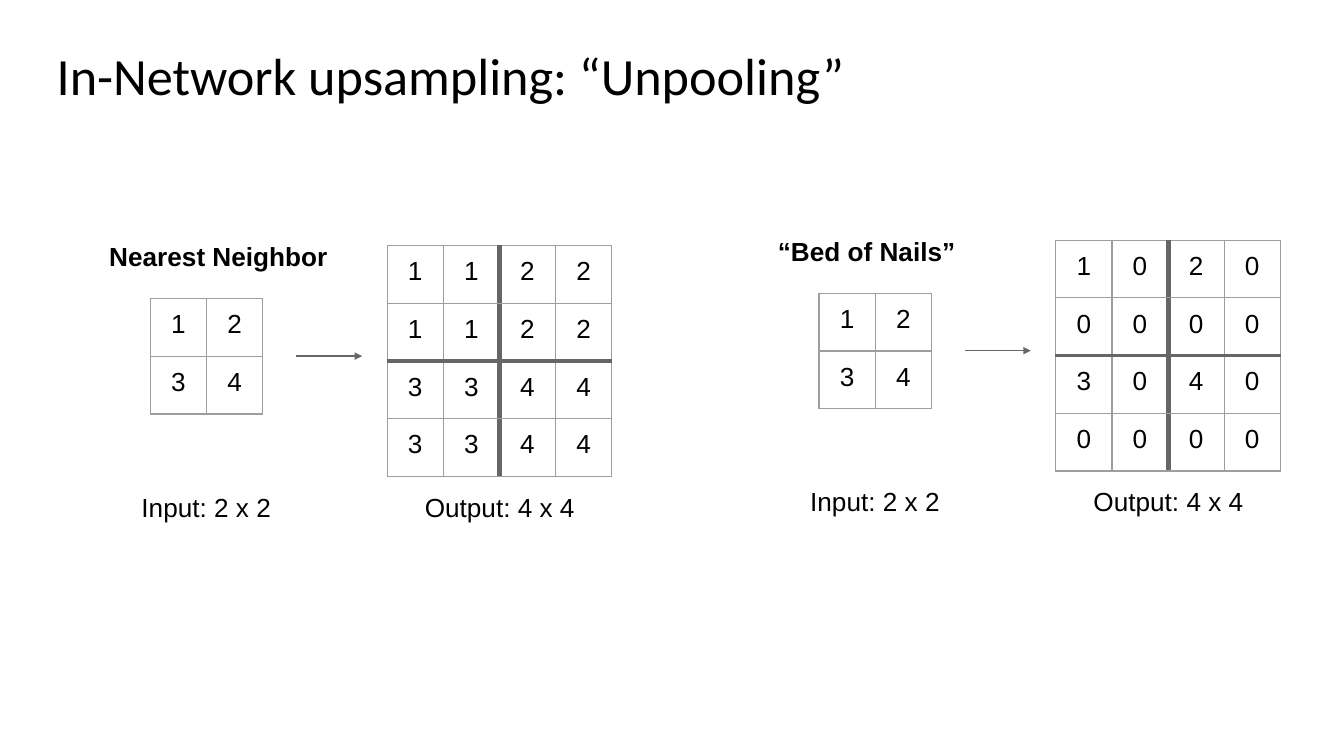
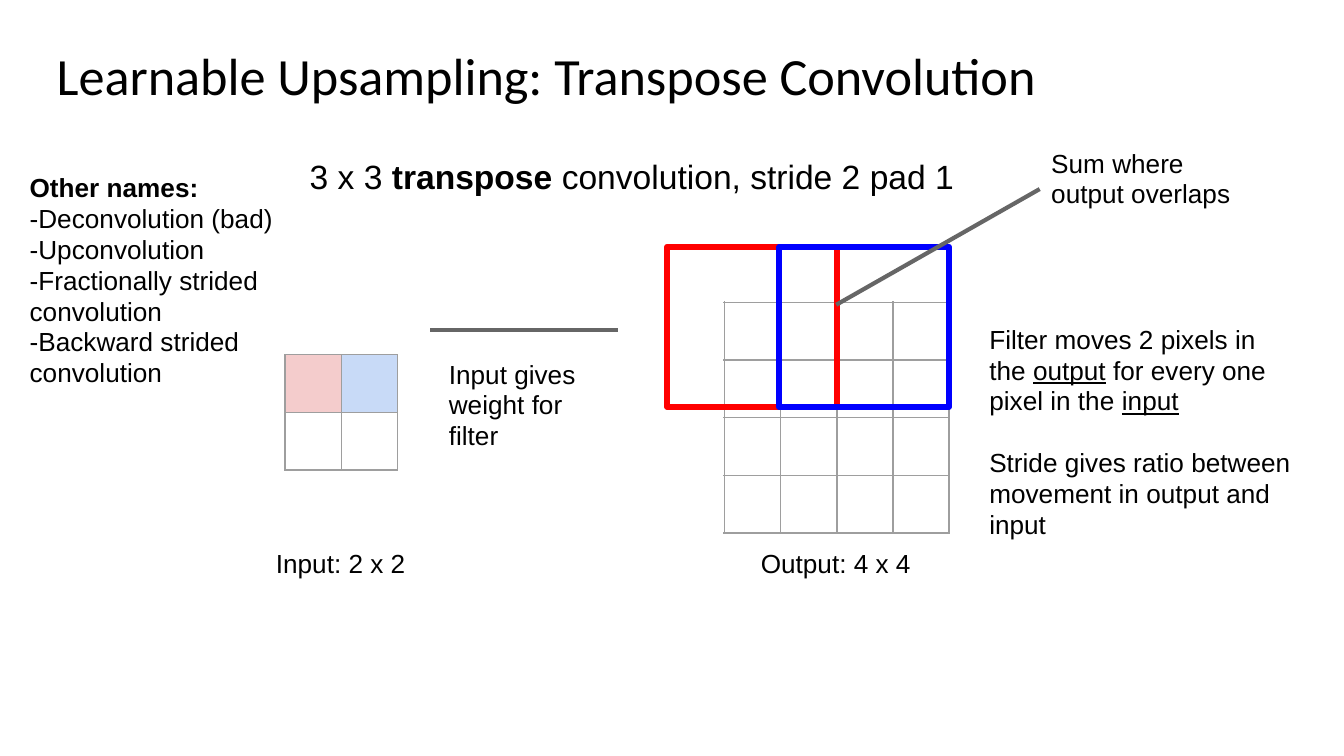
import dataclasses

import pptx
import pptx.dml.color
import pptx.enum.shapes
import pptx.enum.text
import pptx.oxml
import pptx.oxml.ns
import pptx.util

Pt = pptx.util.Pt


@dataclasses.dataclass(frozen=True)
class Theme:
    ink: str = "000000"
    grid: str = "9E9E9E"
    strong: str = "666666"
    pink: str = "F4CCCC"
    sky: str = "C8DAF7"
    red: str = "FF0000"
    blue: str = "0000FF"
    title_font: str = "Calibri"
    body_font: str = "Arial"
    title_size: float = 28
    lead_size: float = 18
    body_size: float = 14
    note_leading: float = 16.5
    thin: float = 0.75
    medium: float = 2.25
    thick: float = 3


THEME = Theme()
CELL_WIDTH, CELL_HEIGHT = 30.1, 30.9
CELL_TOP_MARGIN = 6.2
INPUT_LABEL = [["Input: 2 x 2"]]
OUTPUT_LABEL = [["Output: 4 x 4"]]

UNPOOLING_TITLE = "In-Network upsampling: “Unpooling”"
UNPOOLING_INPUT = [["1", "2"], ["3", "4"]]
UNPOOLING_PANELS = [
    {
        "name": "Nearest Neighbor",
        "shift": (0, 0),
        "divider": THEME.thick,
        "output": ["1122", "1122", "3344", "3344"],
    },
    {
        "name": "“Bed of Nails”",
        "shift": (358.2, -2.9),
        "divider": THEME.medium,
        "output": ["1020", "0000", "3040", "0000"],
    },
]

TRANSPOSE_TITLE = "Learnable Upsampling: Transpose Convolution"
TRANSPOSE_LEAD = [["3 x 3 ", ("transpose ", "bold"), "convolution, stride 2 pad 1"]]
TRANSPOSE_INPUT = [["", ""], ["", ""]]
TRANSPOSE_FILLS = {(0, 0): THEME.pink, (0, 1): THEME.sky}
OUTPUT_GRID = (388.1, 162)
OUTPUT_CELLS = 4
GRID_OVERHANG = 0.5
STRIDE = 2
WINDOW = (357.3, 132.2, 91, 85.8)
WINDOW_COLORS = [THEME.red, THEME.blue]
POINTERS = [(230.4, 177, 331.2, 177), (557, 101.3, 448, 163.3)]
NOTES = [
    (240.5, 190.1, 69.8, 51.8, 2, [["Input gives\nweight for\nfilter"]]),
    (563.2, 77, 97.9, 35.3, 2, [["Sum where\noutput overlaps"]]),
    (530, 171.4, 149.8, 51.8, 2, [[
        "Filter moves 2 pixels in\nthe ",
        ("output", "underline"),
        " for every one\npixel in the ",
        ("input", "underline"),
    ]]),
    (530, 237.6, 162.7, 51.8, 2, [["Stride gives ratio between\nmovement in output and\ninput"]]),
    (15.9, 91.4, 131.8, 118, 1, [
        [("Other names:", "bold")],
        ["-Deconvolution (bad)"],
        ["-Upconvolution"],
        ["-Fractionally strided\nconvolution"],
        ["-Backward strided\nconvolution"],
    ]),
]


def rgb(color):
    return pptx.dml.color.RGBColor.from_string(color)


def add_runs(para, runs, size, font):
    for run in runs:
        text, style = (run, None) if isinstance(run, str) else run
        for index, part in enumerate(text.split("\n")):
            if index:
                para.add_line_break()
            if not part:
                continue
            span = para.add_run()
            span.text = part
            span.font.size = Pt(size)
            span.font.name = font
            span.font.color.rgb = rgb(THEME.ink)
            if style:
                setattr(span.font, style, True)


def add_text(page, left, top, width, height, paragraphs, size=THEME.body_size,
             font=THEME.body_font, inset=1, leading=None, middle=False):
    box = page.shapes.add_textbox(Pt(left), Pt(top), Pt(width), Pt(height))
    frame = box.text_frame
    frame.word_wrap = False
    frame.margin_left = frame.margin_right = frame.margin_bottom = 0
    frame.margin_top = Pt(inset)
    anchors = pptx.enum.text.MSO_ANCHOR
    frame.vertical_anchor = anchors.MIDDLE if middle else anchors.TOP
    for index, runs in enumerate(paragraphs):
        para = frame.add_paragraph() if index else frame.paragraphs[0]
        para.alignment = pptx.enum.text.PP_ALIGN.LEFT
        if leading:
            para.line_spacing = Pt(leading)
        add_runs(para, runs, size, font)


def add_line(page, x1, y1, x2, y2, color, weight, arrow=False):
    line = page.shapes.add_connector(
        pptx.enum.shapes.MSO_CONNECTOR.STRAIGHT, Pt(x1), Pt(y1), Pt(x2), Pt(y2))
    line.line.color.rgb = rgb(color)
    line.line.width = Pt(weight)
    properties = line._element.spPr
    if arrow:
        outline = properties.find(pptx.oxml.ns.qn("a:ln"))
        outline.append(pptx.oxml.parse_xml(
            f'<a:tailEnd {pptx.oxml.ns.nsdecls("a")} type="triangle" w="sm" len="sm"/>'))
    properties.append(pptx.oxml.parse_xml(f'<a:effectLst {pptx.oxml.ns.nsdecls("a")}/>'))


def add_border(cell, side, color, weight):
    cell._tc.get_or_add_tcPr().append(pptx.oxml.parse_xml(
        f'<a:ln{side} {pptx.oxml.ns.nsdecls("a")} w="{Pt(weight)}">'
        f'<a:solidFill><a:srgbClr val="{color}"/></a:solidFill></a:ln{side}>'))


def add_grid_table(page, left, top, values, fills=None, divider=None):
    rows, columns = len(values), len(values[0])
    table = page.shapes.add_table(
        rows, columns, Pt(left), Pt(top),
        Pt(columns * CELL_WIDTH), Pt(rows * CELL_HEIGHT)).table
    table.first_row = table.horz_banding = False
    for column in table.columns:
        column.width = Pt(CELL_WIDTH)
    for row in table.rows:
        row.height = Pt(CELL_HEIGHT)
    for r, line in enumerate(values):
        for c, value in enumerate(line):
            cell = table.cell(r, c)
            cell.margin_left = cell.margin_right = cell.margin_bottom = 0
            cell.margin_top = Pt(CELL_TOP_MARGIN)
            edges = {"L": (c, columns, THEME.thick), "R": (c + 1, columns, THEME.thick),
                     "T": (r, rows, divider), "B": (r + 1, rows, divider)}
            for side, (position, count, weight) in edges.items():
                strong = divider and position * 2 == count
                add_border(cell, side, THEME.strong if strong else THEME.grid,
                           weight if strong else THEME.thin)
            fill = (fills or {}).get((r, c))
            if fill:
                cell.fill.solid()
                cell.fill.fore_color.rgb = rgb(fill)
            else:
                cell.fill.background()
            para = cell.text_frame.paragraphs[0]
            para.alignment = pptx.enum.text.PP_ALIGN.CENTER
            add_runs(para, [value], THEME.body_size, THEME.body_font)


def add_page(deck, title, width):
    page = deck.slides.add_slide(deck.slide_layouts[6])
    add_text(page, 30.4, 21.6, width, 35.3, [[title]], THEME.title_size,
             THEME.title_font, middle=True)
    return page


def add_size_labels(page, input_left, output_left, top):
    add_text(page, input_left, top, 71.3, 18.7, INPUT_LABEL)
    add_text(page, output_left, top, 82.1, 18.7, OUTPUT_LABEL)


def build_unpooling(deck):
    page = add_page(deck, UNPOOLING_TITLE, 447.8)
    for panel in UNPOOLING_PANELS:
        dx, dy = panel["shift"]
        add_text(page, 58.5 + dx, 127.8 + dy, 118.8, 18.7, [[(panel["name"], "bold")]])
        add_grid_table(page, 80.6 + dx, 160 + dy, UNPOOLING_INPUT)
        add_line(page, 158.8 + dx, 190.8 + dy, 194 + dx, 190.8 + dy,
                 THEME.strong, THEME.thin, arrow=True)
        add_grid_table(page, 207.4 + dx, 131.6 + dy, panel["output"], divider=panel["divider"])
        add_size_labels(page, 75.8 + dx, 227.6 + dx, 262.1 + dy)


def build_transpose(deck):
    page = add_page(deck, TRANSPOSE_TITLE, 583.9)
    add_grid_table(page, 152.7, 190, TRANSPOSE_INPUT, fills=TRANSPOSE_FILLS)
    add_size_labels(page, 147.8, 407.6, 292.3)

    left, top = OUTPUT_GRID
    right, bottom = left + OUTPUT_CELLS * CELL_WIDTH, top + OUTPUT_CELLS * CELL_HEIGHT
    for index in range(OUTPUT_CELLS + 1):
        x = left + index * CELL_WIDTH
        add_line(page, x, top - GRID_OVERHANG, x, bottom + GRID_OVERHANG,
                 THEME.grid, THEME.thin)
    for index in range(OUTPUT_CELLS + 1):
        y = top + index * CELL_HEIGHT
        add_line(page, left - GRID_OVERHANG, y, right + GRID_OVERHANG, y,
                 THEME.grid, THEME.thin)

    x, y, width, height = WINDOW
    for index, color in enumerate(WINDOW_COLORS):
        window = page.shapes.add_shape(
            pptx.enum.shapes.MSO_SHAPE.RECTANGLE,
            Pt(x + index * STRIDE * CELL_WIDTH), Pt(y), Pt(width), Pt(height))
        window.shadow.inherit = False
        window.fill.background()
        window.line.color.rgb = rgb(color)
        window.line.width = Pt(THEME.thick)

    for ends in POINTERS:
        add_line(page, *ends, THEME.strong, THEME.medium)
    add_text(page, 165.9, 82.8, 347, 23.8, TRANSPOSE_LEAD, THEME.lead_size)
    for *place, inset, paragraphs in NOTES:
        add_text(page, *place, paragraphs, inset=inset, leading=THEME.note_leading)


def main():
    deck = pptx.Presentation()
    deck.slide_width, deck.slide_height = Pt(720), Pt(405)
    build_unpooling(deck)
    build_transpose(deck)
    deck.save("out.pptx")


if __name__ == "__main__":
    main()
